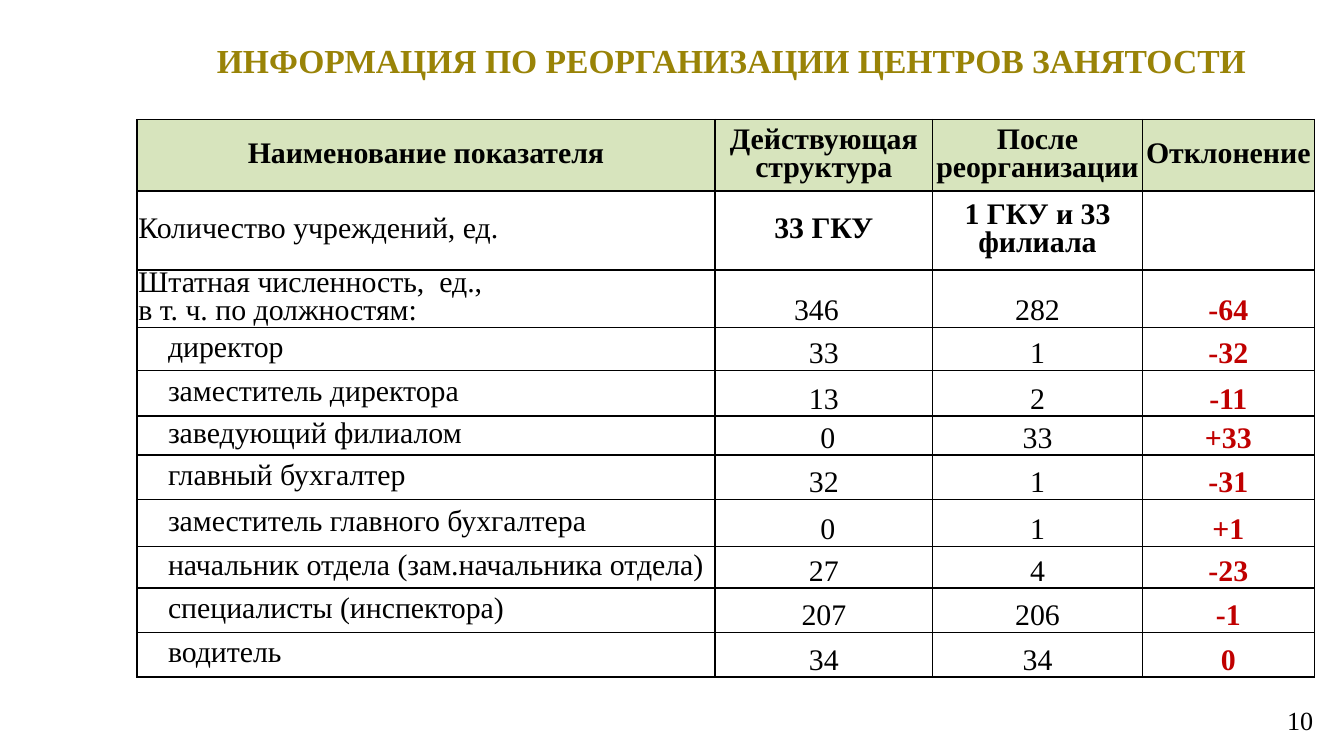
from lxml import etree
from pptx import Presentation
from pptx.dml.color import RGBColor
from pptx.enum.text import MSO_ANCHOR, PP_ALIGN
from pptx.oxml.ns import qn
from pptx.util import Inches, Pt

LEFT, CENTER, RIGHT = PP_ALIGN.LEFT, PP_ALIGN.CENTER, PP_ALIGN.RIGHT
MIDDLE, BOTTOM = MSO_ANCHOR.MIDDLE, MSO_ANCHOR.BOTTOM

FONT = "Times New Roman"
BLACK = RGBColor(0x00, 0x00, 0x00)
GOLD = RGBColor(0x99, 0x83, 0x07)
RED = RGBColor(0xC0, 0x00, 0x00)
HEADER_GREEN = RGBColor(0xD7, 0xE4, 0xBD)

COLUMN_WIDTHS = [4.3, 1.62, 1.56, 1.28]
ROW_HEIGHTS = [0.53, 0.59, 0.42, 0.32, 0.34, 0.29, 0.33, 0.35, 0.31, 0.33, 0.33]
FIRST_STAFF_ROW = 2
FIRST_POSITION_ROW = 3
POSITION_INDENT = 0.23
CELL_MARGIN = 0.01
TOTAL_RIGHT_MARGIN = 0.12
ZERO_LEFT_MARGIN = 0.07

INDICATORS = [
    ("Наименование показателя", "Действующая структура", "После реорганизации", "Отклонение"),
    ("Количество учреждений, ед.", "33 ГКУ", "1 ГКУ и 33 филиала", ""),
    ("Штатная численность,  ед.,\nв т. ч. по должностям:", "346", "282", "-64"),
    ("директор", "33", "1", "-32"),
    ("заместитель директора", "13", "2", "-11"),
    ("заведующий филиалом", "0", "33", "+33"),
    ("главный бухгалтер", "32", "1", "-31"),
    ("заместитель главного бухгалтера", "0", "1", "+1"),
    ("начальник отдела (зам.начальника отдела)", "27", "4", "-23"),
    ("специалисты (инспектора)", "207", "206", "-1"),
    ("водитель", "34", "34", "0"),
]


def format_text(frame, size, color, bold, align, line_spacing=None):
    for paragraph in frame.paragraphs:
        paragraph.alignment = align
        if line_spacing:
            paragraph.line_spacing = line_spacing
        paragraph.font.name = FONT
        paragraph.font.size = Pt(size)
        paragraph.font.bold = bold
        paragraph.font.color.rgb = color


def place(shape, left, top, width, height):
    shape.left, shape.top = Inches(left), Inches(top)
    shape.width, shape.height = Inches(width), Inches(height)


def add_borders(cell):
    properties = cell._tc.get_or_add_tcPr()
    for side in ("a:lnL", "a:lnR", "a:lnT", "a:lnB"):
        line = etree.SubElement(properties, qn(side), w=str(Pt(1)))
        fill = etree.SubElement(line, qn("a:solidFill"))
        etree.SubElement(fill, qn("a:srgbClr"), val=str(BLACK))


def format_cell(cell, row, column):
    is_header = row == 0
    is_label = column == 0
    is_deviation = column == 3 and not is_header
    left_margin = right_margin = CELL_MARGIN
    if is_label and row >= FIRST_POSITION_ROW:
        left_margin = POSITION_INDENT
    if column == 1 and row == FIRST_STAFF_ROW:
        right_margin = TOTAL_RIGHT_MARGIN
    if column == 1 and cell.text == "0":
        left_margin = ZERO_LEFT_MARGIN

    cell.margin_left, cell.margin_right = Inches(left_margin), Inches(right_margin)
    cell.margin_top, cell.margin_bottom = Inches(CELL_MARGIN), 0
    cell.vertical_anchor = MIDDLE if is_label or row < FIRST_STAFF_ROW else BOTTOM
    add_borders(cell)
    if is_header:
        cell.fill.solid()
        cell.fill.fore_color.rgb = HEADER_GREEN
    else:
        cell.fill.background()
    format_text(
        cell.text_frame,
        size=16,
        color=RED if is_deviation else BLACK,
        bold=is_header or is_deviation or (row == 1 and not is_label),
        align=LEFT if is_label and not is_header else CENTER,
        line_spacing=Pt(15),
    )


def add_title(slide, left, top, width, height):
    title = slide.shapes.title
    place(title, left, top, width, height)
    title.text_frame.text = "ИНФОРМАЦИЯ ПО РЕОРГАНИЗАЦИИ ЦЕНТРОВ ЗАНЯТОСТИ"
    title.text_frame.vertical_anchor = MIDDLE
    format_text(title.text_frame, 18, GOLD, True, CENTER)


def add_indicator_table(slide, left, top):
    table = slide.shapes.add_table(
        len(INDICATORS), len(COLUMN_WIDTHS), Inches(left), Inches(top),
        Inches(sum(COLUMN_WIDTHS)), Inches(sum(ROW_HEIGHTS)),
    ).table
    table.horz_banding = False
    table.first_row = False
    for column, width in zip(table.columns, COLUMN_WIDTHS):
        column.width = Inches(width)
    for row, height in zip(table.rows, ROW_HEIGHTS):
        row.height = Inches(height)
    for row, values in enumerate(INDICATORS):
        for column, value in enumerate(values):
            cell = table.cell(row, column)
            cell.text = value
            format_cell(cell, row, column)


def add_page_number(slide, left, top, width, height):
    page_number = slide.shapes.add_textbox(
        Inches(left), Inches(top), Inches(width), Inches(height))
    frame = page_number.text_frame
    frame.word_wrap = True
    frame.vertical_anchor = MIDDLE
    frame.text = "10"
    format_text(frame, 14, BLACK, False, RIGHT)


def main():
    presentation = Presentation()
    presentation.slide_width = Inches(10)
    presentation.slide_height = presentation.slide_width * 9 // 16
    slide = presentation.slides.add_slide(presentation.slide_layouts[5])
    add_title(slide, 1.02, 0.19, 8.85, 0.51)
    add_indicator_table(slide, 1.02, 0.89)
    add_page_number(slide, 8.18, 5.21, 1.69, 0.3)
    presentation.save("out.pptx")


if __name__ == "__main__":
    main()
